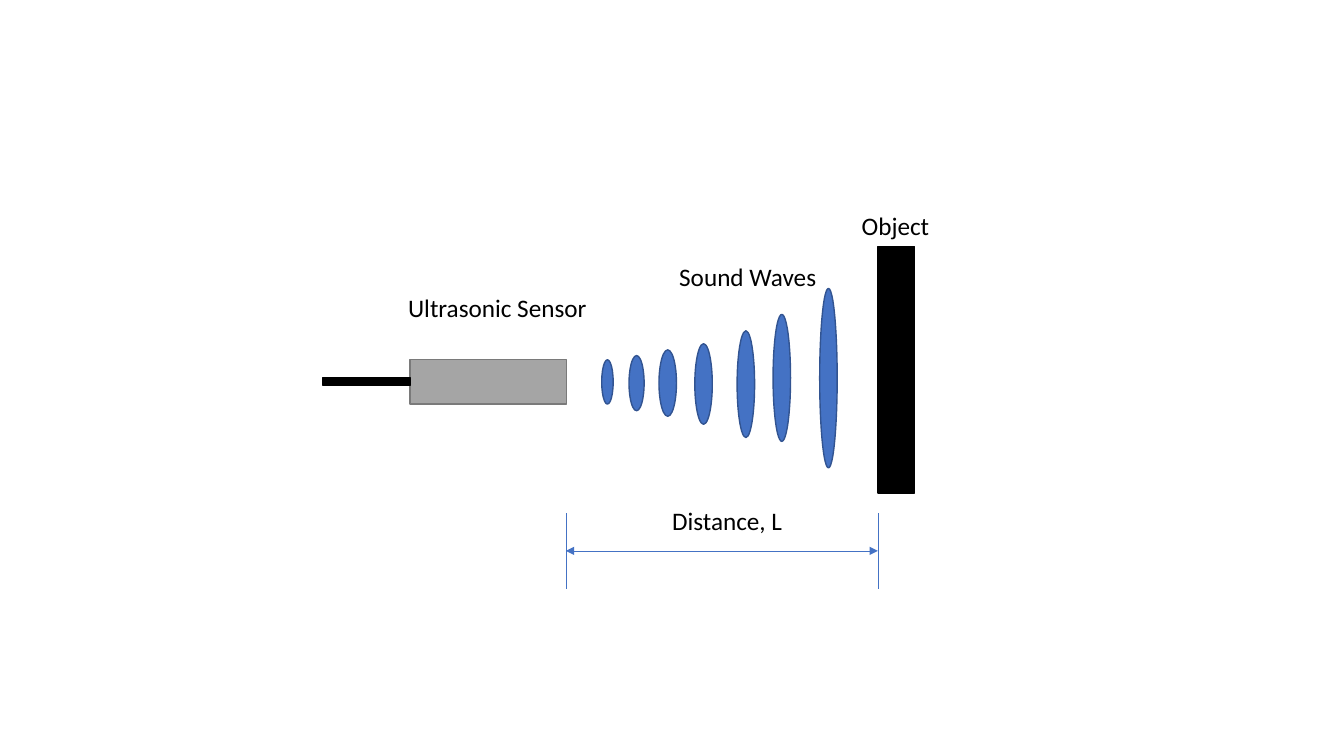
import pptx
import pptx.util
import pptx.dml.color
import pptx.enum.shapes
import pptx.enum.text
import lxml.etree
import pptx.oxml.ns

Pt = pptx.util.Pt
SHAPES = pptx.enum.shapes.MSO_SHAPE
qn = pptx.oxml.ns.qn


def paint(color_format, color):
    color_format.rgb = pptx.dml.color.RGBColor.from_string(color)


def add_label(text, left, top, width, height=29, size=18, font="Calibri", color="000000"):
    label = slide.shapes.add_textbox(Pt(left), Pt(top), Pt(width), Pt(height))
    label.text_frame.word_wrap = False
    label.text_frame.auto_size = pptx.enum.text.MSO_AUTO_SIZE.SHAPE_TO_FIT_TEXT
    run = label.text_frame.paragraphs[0].add_run()
    run.text = text
    run.font.size = Pt(size)
    run.font.name = font
    paint(run.font.color, color)


deck = pptx.Presentation()
deck.slide_width = Pt(960)
deck.slide_height = Pt(540)
slide = deck.slides.add_slide(deck.slide_layouts[6])

sensor_face = 404.2
object_face = 627.1

parts = [
    (SHAPES.RECTANGLE, object_face, 175.9, 26, 176.4, "000000", "000000"),
    (SHAPES.RECTANGLE, 293, 257, sensor_face + 0.4 - 293, 31.7, "A5A5A5", "7A7A7A"),
    (SHAPES.RECTANGLE, 230.4, 269.9, 62.8, 5.2, "000000", "000000"),
]
waves = [
    (429.8, 257, 8.2, 31.7),
    (449.3, 254, 10.8, 39.4),
    (470.7, 249.9, 12.5, 47.5),
    (496.3, 245.5, 12.5, 57.6),
    (526.5, 236.3, 12.5, 76.3),
    (552.2, 224.6, 12.5, 90.7),
    (585.5, 206, 12.5, 128.2),
]
parts += [(SHAPES.OVAL, *wave, "4472C4", "325491") for wave in waves]

for outline, left, top, width, height, fill, edge in parts:
    part = slide.shapes.add_shape(outline, Pt(left), Pt(top), Pt(width), Pt(height))
    part.shadow.inherit = False
    part.fill.solid()
    paint(part.fill.fore_color, fill)
    paint(part.line.color, edge)
    part.line.width = Pt(1)

for text, left, top, width in [
    ("Ultrasonic Sensor", 284.4, 205.4, 143),
    ("Object", 608.4, 146.9, 63),
    ("Sound Waves", 478.1, 183.1, 113.5),
    ("Distance, L", 473, 357.3, 94),
]:
    add_label(text, left, top, width)

limit_top, limit_bottom = 366.5, 420.5
middle = (limit_top + limit_bottom) / 2
for start_x, start_y, end_x, end_y, arrows in [
    (sensor_face, limit_top, sensor_face, limit_bottom, False),
    (object_face, limit_top, object_face, limit_bottom, False),
    (sensor_face, middle, object_face, middle, True),
]:
    dimension = slide.shapes.add_connector(
        pptx.enum.shapes.MSO_CONNECTOR.STRAIGHT, Pt(start_x), Pt(start_y), Pt(end_x), Pt(end_y)
    )
    paint(dimension.line.color, "4472C4")
    dimension.line.width = Pt(0.5)
    if arrows:
        for end in ("a:headEnd", "a:tailEnd"):
            lxml.etree.SubElement(dimension.line._get_or_add_ln(), qn(end), type="triangle")
    lxml.etree.SubElement(dimension._element.spPr, qn("a:effectLst"))

deck.save("out.pptx")
